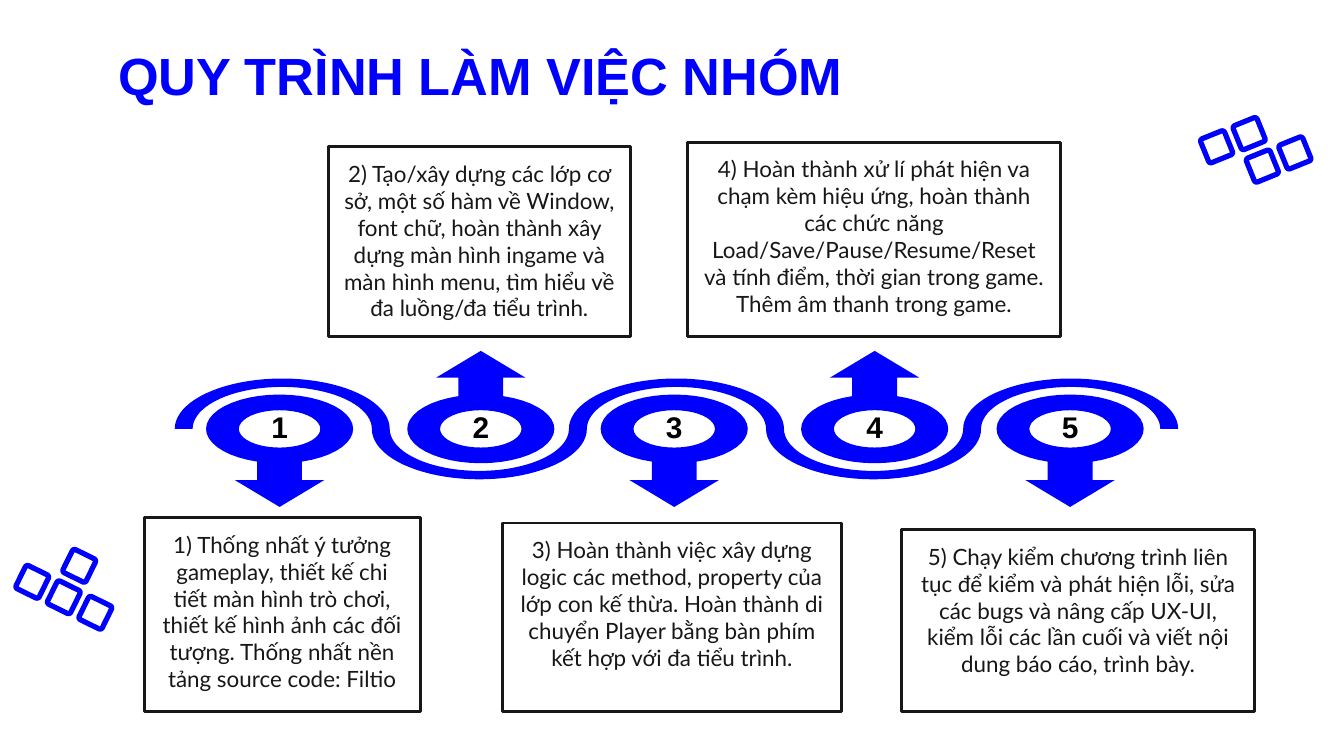
from dataclasses import dataclass
from math import asin, cos, degrees, radians, sin

from lxml import etree
from pptx import Presentation
from pptx.dml.color import RGBColor
from pptx.enum import shapes, text
from pptx.oxml import ns
from pptx.util import Pt


@dataclass(frozen=True)
class Theme:
    blue: RGBColor = RGBColor(0x00, 0x00, 0xFE)
    ink: RGBColor = RGBColor(0x17, 0x17, 0x17)
    black: RGBColor = RGBColor(0x00, 0x00, 0x00)
    heading_font: str = "Arial"
    body_font: str = "Lato"
    title_size: int = 28
    number_size: int = 16
    body_size: int = 12


THEME = Theme()
UP, DOWN = -1, 1
AXIS_Y = 229.8
WAVE_START = 151.2
WAVE_OUTER = (57.6, 27)
WAVE_INNER = (48, 22.5)
PIN_OUTER = (39.4, 18.4)
PIN_HOLE = (21.8, 10)
SHAFT, HEAD = 12, 24

# Pin centre, pin direction, card box (left, top, width, height), card text
STEPS = [
    (149.8, DOWN, (77.3, 277.2, 147.8, 103.9),
     "1) Thống nhất ý tưởng gameplay, thiết kế chi tiết màn hình trò chơi, thiết kế "
     "hình ảnh các đối tượng. Thống nhất nền tảng source code: Filtio"),
    (257.6, UP, (175.8, 78.6, 162.2, 101.5),
     "2) Tạo/xây dựng các lớp cơ sở, một số hàm về Window, font chữ, hoàn thành xây "
     "dựng màn hình ingame và màn hình menu, tìm hiểu về đa luồng/đa tiểu trình."),
    (361.2, DOWN, (269, 280.2, 182, 101),
     "3) Hoàn thành việc xây dựng logic các method, property của lớp con kế thừa. Hoàn "
     "thành di chuyển Player bằng bàn phím kết hợp với đa tiểu trình."),
    (468.6, UP, (368.5, 76.2, 199.6, 104.2),
     "4) Hoàn thành xử lí phát hiện va chạm kèm hiệu ứng, hoàn thành các chức năng "
     "Load/Save/Pause/Resume/Reset và tính điểm, thời gian trong game. Thêm âm thanh "
     "trong game."),
    (573.3, DOWN, (483, 283.7, 189.3, 97.5),
     "5) Chạy kiểm chương trình liên tục để kiểm và phát hiện lỗi, sửa các bugs và "
     "nâng cấp UX-UI, kiểm lỗi các lần cuối và viết nội dung báo cáo, trình bày."),
]


def place(shape, left, top, width, height):
    shape.left, shape.top = Pt(left), Pt(top)
    shape.width, shape.height = Pt(width), Pt(height)


def write(shape, words, font_name, size, color, bold=False, inset=7.2,
          alignment=text.PP_ALIGN.CENTER, anchor=text.MSO_ANCHOR.TOP):
    frame = shape.text_frame
    frame.word_wrap = True
    frame.auto_size = text.MSO_AUTO_SIZE.NONE
    frame.vertical_anchor = anchor
    frame.margin_left = frame.margin_right = Pt(inset)
    frame.margin_top = frame.margin_bottom = Pt(inset)
    frame.text = words
    paragraph = frame.paragraphs[0]
    paragraph.alignment = alignment
    paragraph.space_before = Pt(0)
    font = paragraph.font
    font.name, font.size, font.bold = font_name, Pt(size), bold
    font.color.rgb = color


def remove_bullet(paragraph):
    properties = paragraph._p.get_or_add_pPr()
    properties.set("marL", "0")
    properties.set("indent", "0")
    etree.SubElement(properties, ns.qn("a:buNone"))


def arc(center_x, center_y, radii, start, end):
    """Points along an ellipse between two angles in degrees, clockwise from the right."""
    count = 40
    angles = [radians(start + (end - start) * i / count) for i in range(count + 1)]
    return [(center_x + radii[0] * cos(a), center_y + radii[1] * sin(a)) for a in angles]


def add_outline(slide, *contours):
    """A blue freeform; contours after the first are holes."""
    contours = [[(Pt(x), Pt(y)) for x, y in contour] for contour in contours]
    builder = slide.shapes.build_freeform(*contours[0][0], scale=1.0)
    for index, contour in enumerate(contours):
        if index:
            builder.move_to(*contour[0])
        builder.add_line_segments(contour[1:], close=True)
    shape = builder.convert_to_shape()
    shape.shadow.inherit = False
    shape.fill.solid()
    shape.fill.fore_color.rgb = THEME.blue
    shape.line.fill.background()


def add_wave(slide):
    """One band of half ovals that swing over and under the axis in turn."""
    upper, lower = [], []
    for index in range(len(STEPS)):
        center = WAVE_START + index * (WAVE_OUTER[0] + WAVE_INNER[0])
        over = index % 2 == 0
        end = 360 if over else 0
        top, bottom = (WAVE_OUTER, WAVE_INNER) if over else (WAVE_INNER, WAVE_OUTER)
        upper += arc(center, AXIS_Y, top, 180, end)
        lower += arc(center, AXIS_Y, bottom, 180, end)
    add_outline(slide, upper + lower[::-1])


def add_pin(slide, center, direction):
    """An oval ring with an arrow pointing up or down."""
    gap = degrees(asin(SHAFT / PIN_OUTER[0]))
    middle = 90 * direction
    ring = arc(center, AXIS_Y, PIN_OUTER, middle + gap, middle + 360 - gap)
    base, tip = AXIS_Y + 27.4 * direction, AXIS_Y + 41.8 * direction
    arrow = [(SHAFT, base), (HEAD, base), (0, tip), (-HEAD, base), (-SHAFT, base)]
    arrow = [(center + direction * x, y) for x, y in arrow]
    hole = arc(center, AXIS_Y, PIN_HOLE, 360, 0)
    add_outline(slide, ring + arrow, hole)


def add_number(slide, number, center):
    box = slide.shapes.add_textbox(Pt(center - 6.1), Pt(215), Pt(12.2), Pt(26.6))
    write(box, str(number), THEME.heading_font, THEME.number_size, THEME.black,
          bold=True, inset=0, anchor=text.MSO_ANCHOR.MIDDLE)


def format_card(shape, box, words):
    place(shape, *box)
    shape.fill.background()
    shape.line.color.rgb = THEME.ink
    shape.line.width = Pt(1.5)
    write(shape, words, THEME.body_font, THEME.body_size, THEME.ink)


def add_squares(slide, center_x, center_y, rotation, cells):
    """Tilted square rings on a small grid turned by the same angle."""
    step, side = 18.8, 13.8
    turn = radians(rotation)
    for column, row in cells:
        x = center_x + step * (column * cos(turn) - row * sin(turn))
        y = center_y + step * (column * sin(turn) + row * cos(turn))
        square = slide.shapes.add_shape(
            shapes.MSO_SHAPE.ROUNDED_RECTANGLE,
            Pt(x - side / 2), Pt(y - side / 2), Pt(side), Pt(side))
        square.adjustments[0] = 0.1
        square.rotation = rotation
        square.shadow.inherit = False
        square.fill.background()
        square.line.color.rgb = THEME.blue
        square.line.width = Pt(2.8)


def main():
    presentation = Presentation()
    presentation.slide_width, presentation.slide_height = Pt(720), Pt(405)
    slide = presentation.slides.add_slide(presentation.slide_layouts[1])
    title, body = slide.placeholders

    add_squares(slide, 34.2, 320, 26.1, [(0, -1), (0, 0), (1, 0), (-1, 0)])
    add_squares(slide, 669.2, 71.6, -22.1, [(0, 0), (0, 1), (1, 1), (-1, 0)])

    place(title, 56.2, 15.8, 607.7, 45.4)
    write(title, "QUY TRÌNH LÀM VIỆC NHÓM", THEME.heading_font, THEME.title_size,
          THEME.blue, bold=True, alignment=text.PP_ALIGN.LEFT)

    add_wave(slide)
    for number, (center, direction, box, words) in enumerate(STEPS, start=1):
        add_pin(slide, center, direction)
        add_number(slide, number, center)
        if number == 1:
            card = body
        else:
            card = slide.shapes.add_shape(shapes.MSO_SHAPE.RECTANGLE, 0, 0, 0, 0)
            card.shadow.inherit = False
        format_card(card, box, words)
    remove_bullet(body.text_frame.paragraphs[0])

    presentation.save("out.pptx")


if __name__ == "__main__":
    main()
